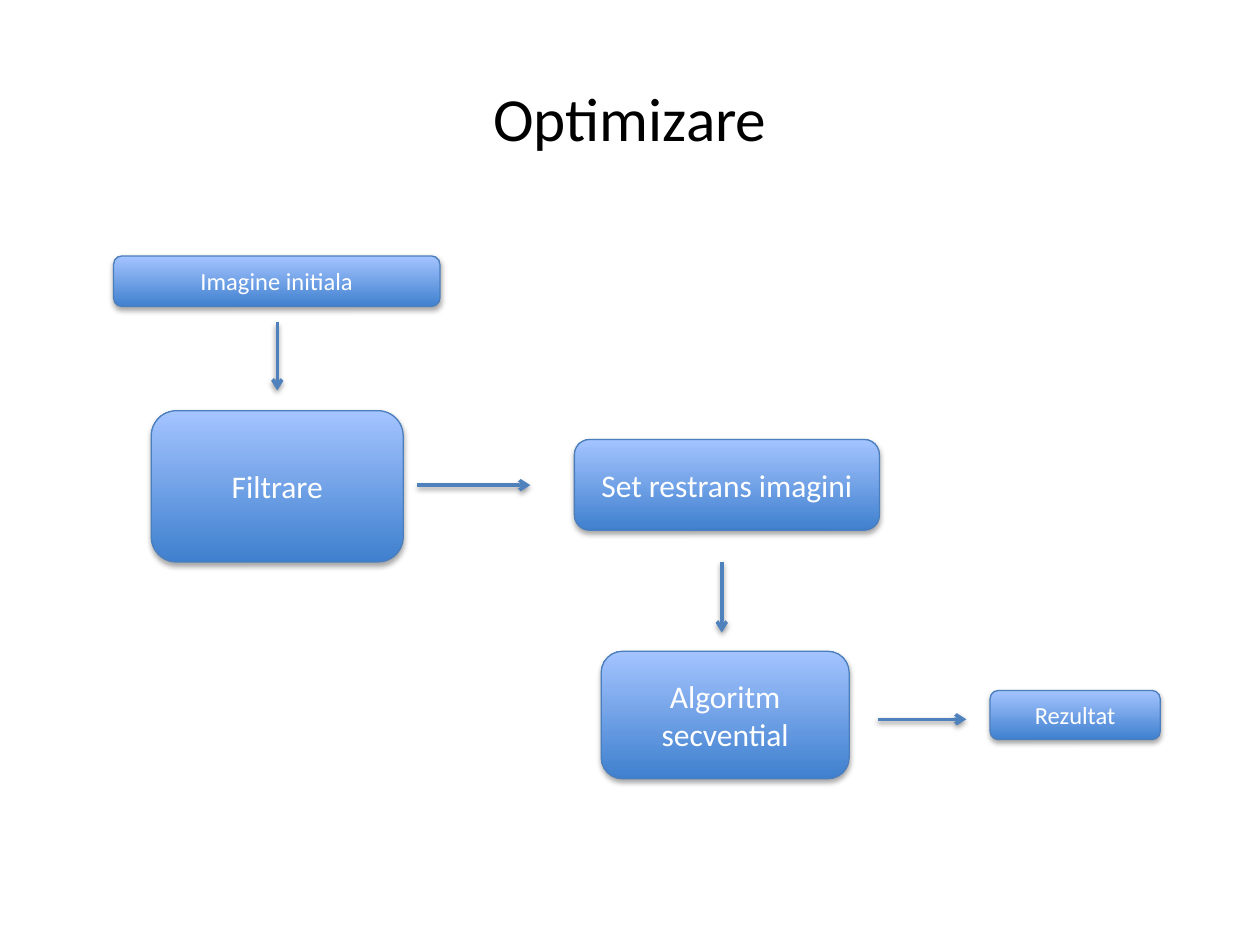
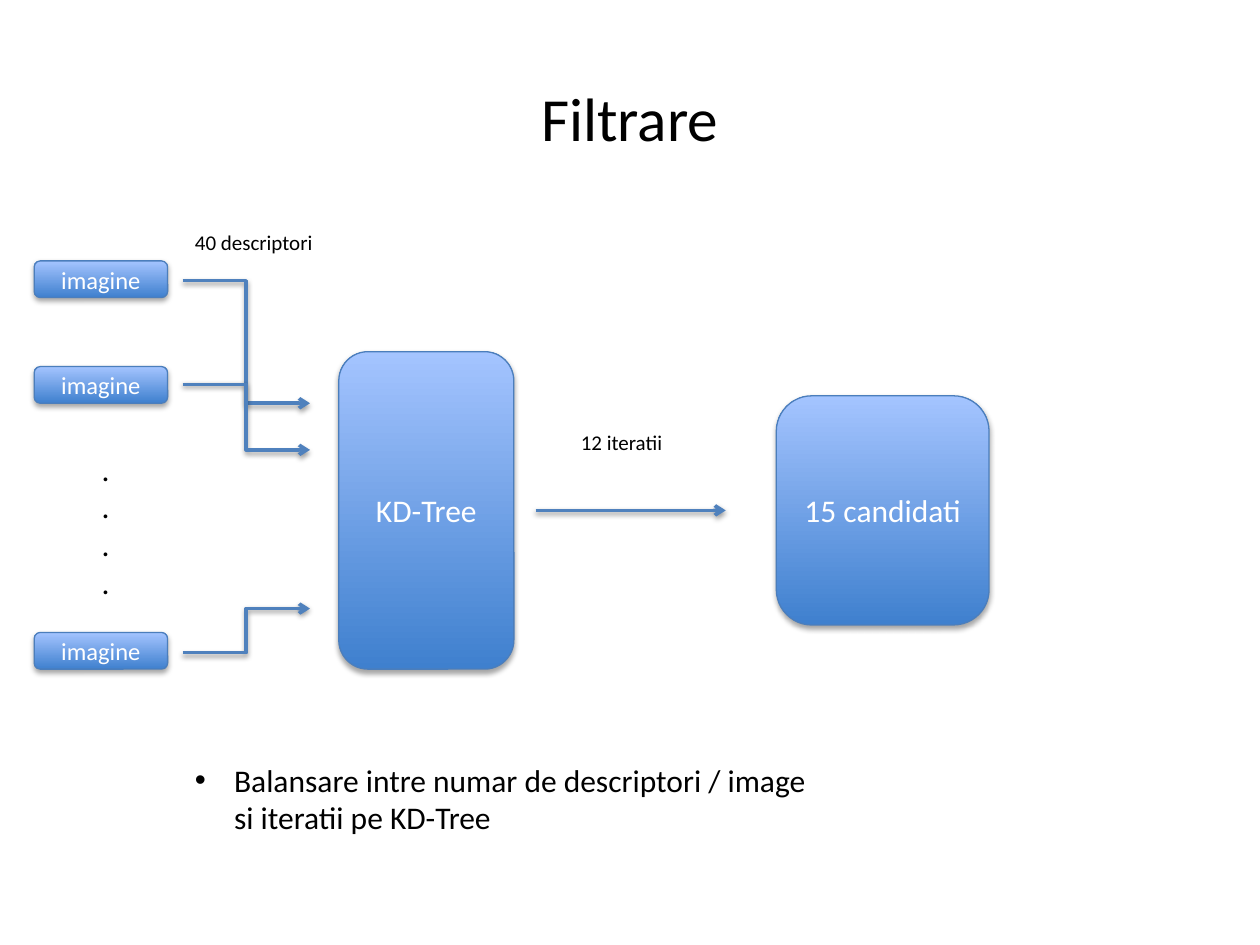
from dataclasses import dataclass

from lxml import etree
from pptx import Presentation
from pptx.dml.color import RGBColor
from pptx.enum.shapes import MSO_CONNECTOR as Connector
from pptx.enum.shapes import MSO_SHAPE as Shape
from pptx.enum.text import MSO_ANCHOR as Anchor
from pptx.enum.text import MSO_AUTO_SIZE as AutoSize
from pptx.enum.text import PP_ALIGN as Align
from pptx.oxml.ns import qn
from pptx.slide import Slide
from pptx.util import Cm, Pt

FONT = "Calibri"
COLORS = {
    "text": "000000",
    "box_text": "FFFFFF",
    "box_bottom": "3F80CE",
    "box_top": "A4C4FF",
    "box_line": "4B7EBC",
    "arrow": "4F81BD",
    "shadow": "000000",
}


@dataclass(frozen=True)
class Box:
    """Rounded flow-chart step; lengths in centimetres."""
    text: str
    left: float
    top: float
    width: float
    height: float
    size: int = 18


@dataclass(frozen=True)
class Arrow:
    """Arrow between two points in centimetres."""
    start: tuple[float, float]
    end: tuple[float, float]
    kind: Connector = Connector.STRAIGHT


@dataclass(frozen=True)
class Label:
    text: str
    left: float
    top: float
    width: float
    height: float
    size: int = 18
    wrap: bool = False
    bullet: bool = False
    align: Align = Align.LEFT
    anchor: Anchor = Anchor.TOP
    auto_size: AutoSize = AutoSize.SHAPE_TO_FIT_TEXT


def color(name: str) -> RGBColor:
    return RGBColor.from_string(COLORS[name])


def add_shadow(shape, alpha: int, distance: float) -> None:
    """Add a soft downward shadow; call after fill and line are set."""
    effects = etree.SubElement(shape._element.spPr, qn("a:effectLst"))
    shadow = etree.SubElement(
        effects, qn("a:outerShdw"), blurRad=str(Pt(3.1)), dist=str(Pt(distance)),
        dir="5400000", rotWithShape="0")
    shade = etree.SubElement(shadow, qn("a:srgbClr"), val=COLORS["shadow"])
    etree.SubElement(shade, qn("a:alpha"), val=str(alpha * 1000))


def add_bullet(paragraph) -> None:
    properties = paragraph._p.get_or_add_pPr()
    properties.set("marL", str(Cm(0.79)))
    properties.set("indent", str(-Cm(0.79)))
    etree.SubElement(properties, qn("a:buFont"), typeface="Arial")
    etree.SubElement(properties, qn("a:buChar"), char="•")


def style_paragraph(paragraph, size: int, color_name: str, align: Align) -> None:
    paragraph.alignment = align
    paragraph.font.name = FONT
    paragraph.font.size = Pt(size)
    paragraph.font.color.rgb = color(color_name)


def add_box(slide: Slide, box: Box) -> None:
    shape = slide.shapes.add_shape(
        Shape.ROUNDED_RECTANGLE, Cm(box.left), Cm(box.top), Cm(box.width), Cm(box.height))
    shape.fill.gradient()
    shape.fill.gradient_angle = 90
    for stop, name in zip(shape.fill.gradient_stops, ("box_bottom", "box_top")):
        stop.color.rgb = color(name)
    shape.line.color.rgb = color("box_line")
    shape.line.width = Pt(0.75)
    add_shadow(shape, alpha=35, distance=1.8)
    shape.text_frame.text = box.text
    shape.text_frame.vertical_anchor = Anchor.MIDDLE
    style_paragraph(shape.text_frame.paragraphs[0], box.size, "box_text", Align.CENTER)


def add_arrow(slide: Slide, arrow: Arrow) -> None:
    points = [Cm(length) for length in (*arrow.start, *arrow.end)]
    connector = slide.shapes.add_connector(arrow.kind, *points)
    connector.line.color.rgb = color("arrow")
    connector.line.width = Pt(2)
    etree.SubElement(connector.line._get_or_add_ln(), qn("a:tailEnd"), type="arrow")
    add_shadow(connector, alpha=38, distance=1.6)


def add_label(slide: Slide, label: Label) -> None:
    text_box = slide.shapes.add_textbox(
        Cm(label.left), Cm(label.top), Cm(label.width), Cm(label.height))
    frame = text_box.text_frame
    frame.word_wrap = label.wrap
    frame.auto_size = label.auto_size
    frame.vertical_anchor = label.anchor
    frame.text = label.text
    for paragraph in frame.paragraphs:
        if label.bullet:
            add_bullet(paragraph)
        style_paragraph(paragraph, label.size, "text", label.align)


DRAW = {Box: add_box, Arrow: add_arrow, Label: add_label}


def add_slide(presentation, title: str, elements: list[Box | Arrow | Label]) -> None:
    slide = presentation.slides.add_slide(presentation.slide_layouts[6])
    add_label(slide, Label(title, 1.27, 0.76, 22.86, 3.18, size=35, wrap=True,
                           align=Align.CENTER, anchor=Anchor.MIDDLE,
                           auto_size=AutoSize.NONE))
    for element in elements:
        DRAW[type(element)](slide, element)


OPTIMIZATION = [
    Box("Imagine initiala", 2.29, 5.16, 6.58, 1.02, size=14),
    Arrow((5.59, 6.5), (5.59, 7.87)),
    Box("Filtrare", 3.05, 8.28, 5.08, 3.05),
    Arrow((8.41, 9.78), (10.69, 9.78)),
    Box("Set restrans imagini", 11.58, 8.86, 6.15, 1.83),
    Arrow((14.55, 11.33), (14.55, 12.75)),
    Box("Algoritm secvential", 12.12, 13.13, 5, 2.57),
    Arrow((17.7, 14.5), (19.48, 14.5)),
    Box("Rezultat", 19.96, 13.92, 3.43, 0.99, size=14),
]

IMAGE_TOPS = (5.26, 7.39, 12.75)
DESCRIPTOR_HEIGHTS = ((5.66, 8.13), (7.75, 9.07), (13.16, 12.27))

FILTERING = [
    *(Box("imagine", 0.69, top, 2.69, 0.74, size=14) for top in IMAGE_TOPS),
    Label("\n".join("...."), 1.8, 8.94, 0.71, 3.33),
    Label("40 descriptori", 3.68, 4.5, 3.43, 0.76, size=12),
    Box("KD-Tree", 6.83, 7.09, 3.53, 6.4),
    *(Arrow((3.68, start), (6.25, end), Connector.ELBOW)
      for start, end in DESCRIPTOR_HEIGHTS),
    Arrow((10.8, 10.29), (14.63, 10.29)),
    Label("12 iteratii", 11.46, 8.53, 2.54, 0.76, size=12),
    Box("15 candidati", 15.65, 7.98, 4.29, 4.62),
    Label("Balansare intre numar de descriptori / image si iteratii pe KD-Tree",
          3.68, 15.21, 13.18, 1.8, wrap=True, bullet=True),
]


def main() -> None:
    presentation = Presentation()
    presentation.slide_width = Cm(25.4)
    presentation.slide_height = Cm(19.05)
    add_slide(presentation, "Optimizare", OPTIMIZATION)
    add_slide(presentation, "Filtrare", FILTERING)
    presentation.save("out.pptx")


if __name__ == "__main__":
    main()
